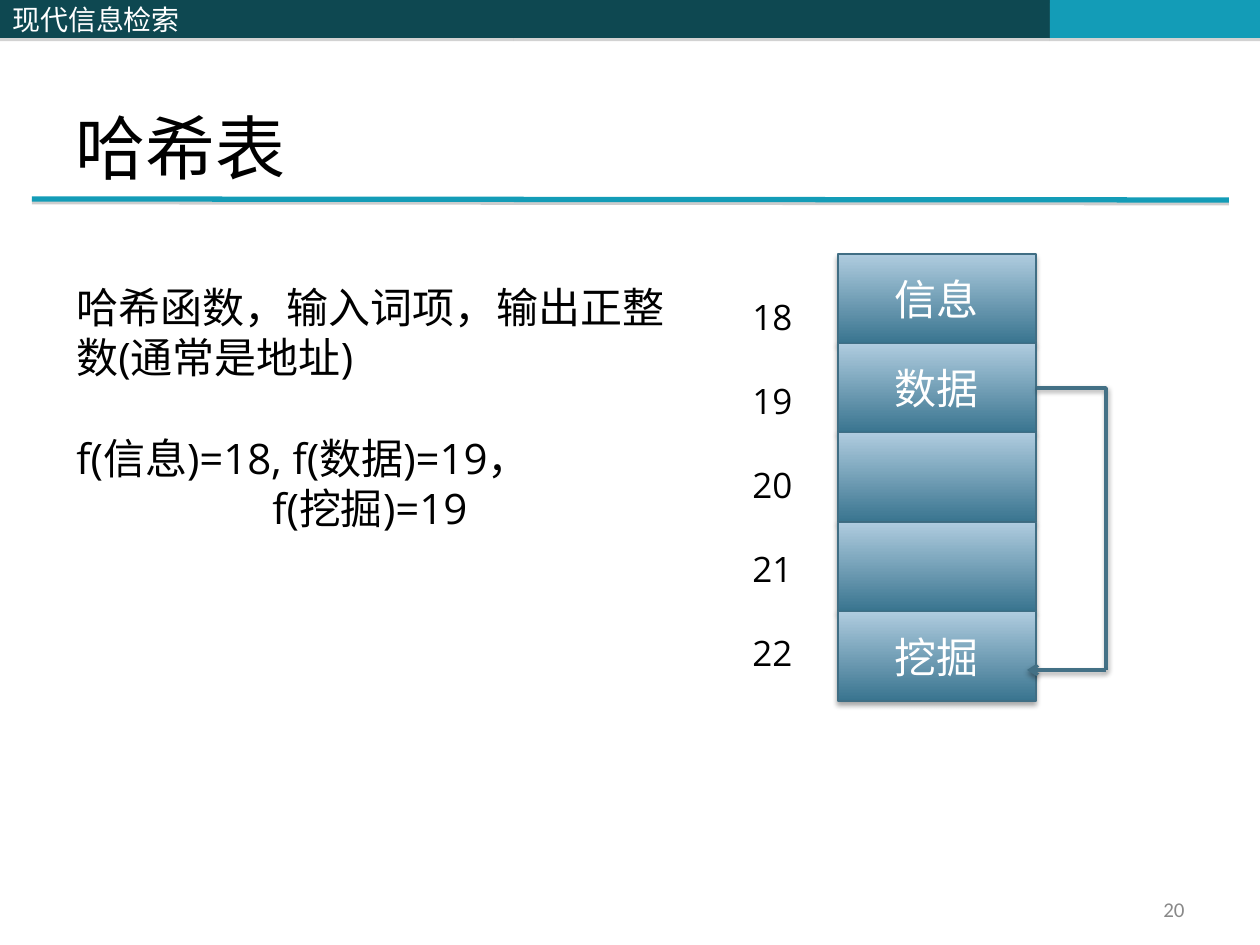
from dataclasses import dataclass

from lxml.etree import SubElement
from pptx import Presentation
from pptx.dml.color import RGBColor
from pptx.enum.shapes import MSO_CONNECTOR, MSO_SHAPE
from pptx.enum.text import MSO_ANCHOR, PP_ALIGN
from pptx.oxml.ns import qn
from pptx.util import Emu, Pt

PX = 914400 // 126


@dataclass(frozen=True)
class Theme:
    dark: str = "0E4851"
    accent: str = "139CB7"
    cell_bottom: str = "39748F"
    cell_top: str = "AFCCDF"
    cell_edge: str = "406E84"
    link: str = "437085"
    white: str = "FFFFFF"
    black: str = "000000"
    muted: str = "898989"
    grey_shadow: str = "808080"
    title: int = 40
    body: int = 24
    index: int = 20
    header: int = 16
    number: int = 12


THEME = Theme()

HEADER = "现代信息检索"
TITLE = "哈希表"
PAGE = "20"
# text, space before (pt), left indent (px)
EXPLANATION = [
    ("哈希函数，输入词项，输出正整数(通常是地址)", 0, 0),
    ("f(信息)=18, f(数据)=19，", 28.8, 0),
    ("f(挖掘)=19", 0, 196),
]
SLOTS = [(18, "信息"), (19, "数据"), (20, ""), (21, ""), (22, "挖掘")]
ADDRESSES = [(str(address), 21 if i else 0, 0) for i, (address, _) in enumerate(SLOTS)]

BAR_HEIGHT = 38
BARS = [(514, 536, THEME.dark, ""), (1050, 210, THEME.accent, ""), (0, 514, THEME.dark, HEADER)]
TABLE_LEFT, TABLE_TOP, TABLE_WIDTH, TABLE_HEIGHT = 838, 254, 198, 447
LINK_START, LINK_CORNER, LINK_END = (1037, 388), (1106, 670), (1027, 670)


def px(*lengths):
    return [Emu(round(length * PX)) for length in lengths]


def rgb(value):
    return RGBColor.from_string(value)


def add_shadow(shape, color, alpha, blur, distance):
    """Give the shape a shadow falling straight down; lengths in points."""
    properties = shape._element.spPr
    effects = properties.find(qn("a:effectLst"))
    if effects is None:
        effects = SubElement(properties, qn("a:effectLst"))
    outer = SubElement(effects, qn("a:outerShdw"), blurRad=str(Pt(blur)),
                       dist=str(Pt(distance)), dir="5400000", rotWithShape="0")
    tint = SubElement(outer, qn("a:srgbClr"), val=color)
    SubElement(tint, qn("a:alpha"), val=str(alpha * 1000))


def write(shape, paragraphs, font, size, color, anchor=MSO_ANCHOR.TOP, **formats):
    frame = shape.text_frame
    frame.word_wrap = True
    frame.vertical_anchor = anchor
    for i, (text, before, indent) in enumerate(paragraphs):
        paragraph = frame.add_paragraph() if i else frame.paragraphs[0]
        paragraph.space_before = Pt(before)
        for name, value in formats.items():
            setattr(paragraph, name, value)
        if indent:
            paragraph._p.get_or_add_pPr().set("marL", str(indent * PX))
        run = paragraph.add_run()
        run.text = text
        for name, value in {"name": font, "size": Pt(size)}.items():
            setattr(run.font, name, value)
        run.font.color.rgb = rgb(color)


def add_text(slide, box, paragraphs, font, size, color, **formats):
    write(slide.shapes.add_textbox(*px(*box)), paragraphs, font, size, color, **formats)


def add_box(slide, *box):
    shape = slide.shapes.add_shape(MSO_SHAPE.RECTANGLE, *px(*box))
    shape.shadow.inherit = False
    return shape


def add_line(slide, kind, start, end, color, width, shadow):
    line = slide.shapes.add_connector(kind, *px(*start, *end))
    line.line.color.rgb = rgb(color)
    line.line.width = Pt(width)
    add_shadow(line, *shadow)
    return line


def add_frame(slide):
    for left, width, color, label in BARS:
        bar = add_box(slide, left, 0, width, BAR_HEIGHT)
        bar.fill.solid()
        bar.fill.fore_color.rgb = rgb(color)
        bar.line.fill.background()
        add_shadow(bar, THEME.grey_shadow, 35, 0, 1.8)
        if label:
            write(bar, [(label, 0, 0)], "Noto Sans CJK SC", THEME.header, THEME.white,
                  MSO_ANCHOR.MIDDLE, alignment=PP_ALIGN.LEFT)
    add_line(slide, MSO_CONNECTOR.STRAIGHT, (32, 199), (1229, 200), THEME.accent, 3,
             (THEME.grey_shadow, 38, 0, 1.6))
    add_text(slide, (63, 38, 1134, 157), [(TITLE, 0, 0)], "Times New Roman",
             THEME.title, THEME.black, anchor=MSO_ANCHOR.BOTTOM)
    add_text(slide, (903, 892, 294, 34), [(PAGE, 0, 0)], "Calibri", THEME.number,
             THEME.muted, anchor=MSO_ANCHOR.MIDDLE, alignment=PP_ALIGN.RIGHT)


def add_hash_table(slide):
    height = TABLE_HEIGHT / len(SLOTS)
    for i, (_, term) in enumerate(SLOTS):
        cell = add_box(slide, TABLE_LEFT, TABLE_TOP + i * height, TABLE_WIDTH, height)
        cell.fill.gradient()
        cell.fill.gradient_angle = 90
        for stop, color in zip(cell.fill.gradient_stops, (THEME.cell_bottom, THEME.cell_top)):
            stop.color.rgb = rgb(color)
        cell.line.color.rgb = rgb(THEME.cell_edge)
        cell.line.width = Pt(0.75)
        add_shadow(cell, THEME.black, 35, 3.1, 1.8)
        if term:
            write(cell, [(term, 0, 0)], "Calibri", THEME.body, THEME.white,
                  MSO_ANCHOR.MIDDLE, alignment=PP_ALIGN.CENTER)


def add_collision_link(slide):
    style = (THEME.link, 2, (THEME.black, 38, 3.1, 1.6))
    elbow = add_line(slide, MSO_CONNECTOR.ELBOW, LINK_START, LINK_CORNER, *style)
    elbow._element.spPr.find(qn("a:prstGeom")).set("prst", "bentConnector2")
    arrow = add_line(slide, MSO_CONNECTOR.STRAIGHT, LINK_CORNER, LINK_END, *style)
    SubElement(arrow.line._get_or_add_ln(), qn("a:tailEnd"), type="arrow")


def main():
    deck = Presentation()
    deck.slide_width, deck.slide_height = px(1260, 945)
    slide = deck.slides.add_slide(deck.slide_layouts[6])
    add_frame(slide)
    add_hash_table(slide)
    add_text(slide, (64, 275, 625, 369), EXPLANATION, "Open Sans", THEME.body,
             THEME.black, line_spacing=Pt(28.8))
    add_text(slide, (740, 284, 110, 403), ADDRESSES, "Open Sans", THEME.index,
             THEME.black, line_spacing=Pt(27))
    add_collision_link(slide)
    deck.save("out.pptx")


if __name__ == "__main__":
    main()
